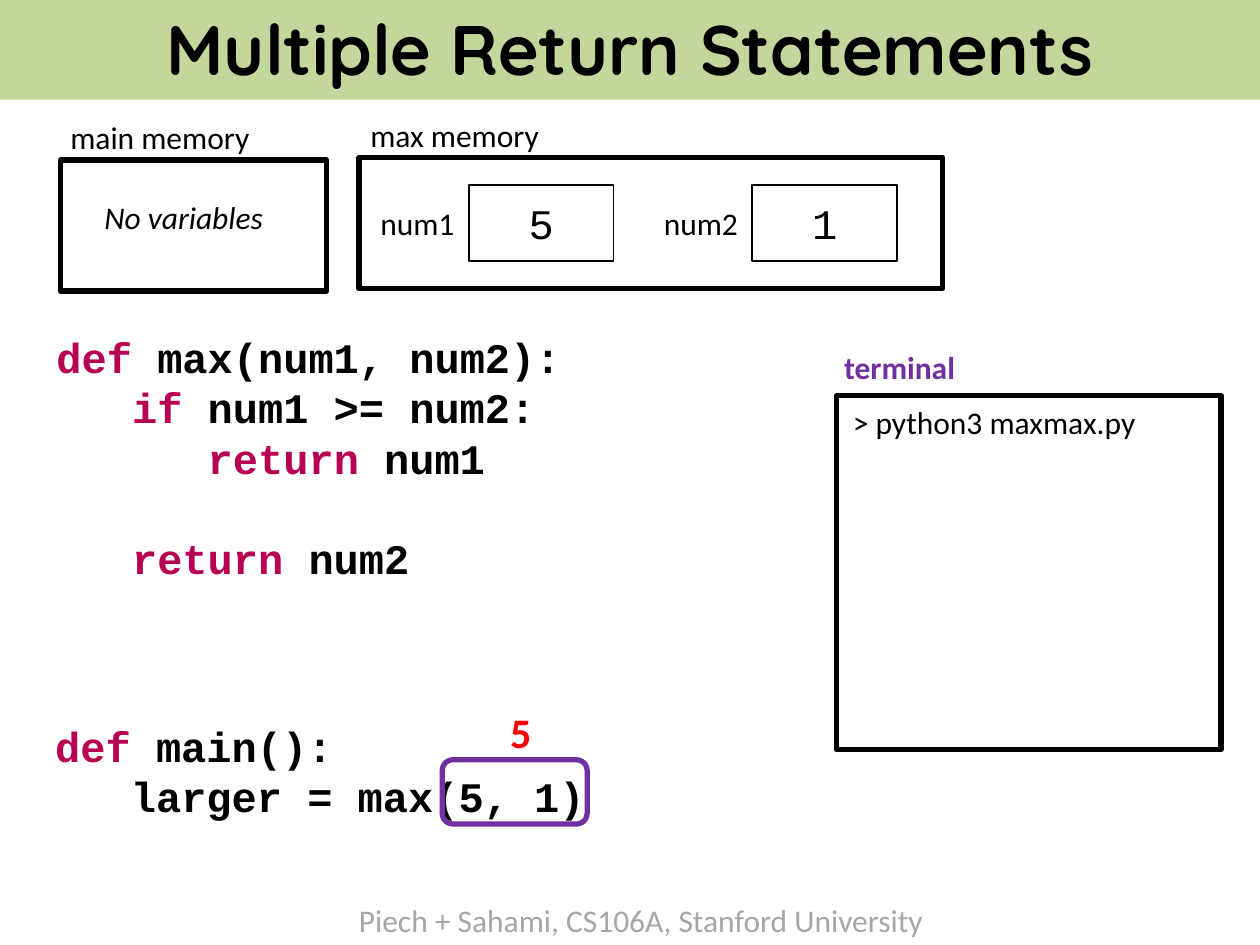
import pptx
import pptx.dml.color
import pptx.enum.shapes
import pptx.enum.text
import pptx.util

COLORS = {
    "ink": "000000", "banner": "C3D69B", "keyword": "B70051",
    "call": "7030A0", "result": "FF0000", "footer": "A6A6A6",
}
COLUMNS, ROWS = 100, 75
WIDTH, HEIGHT = pptx.util.Inches(10), pptx.util.Inches(7.5)
KEYWORDS = ("def", "if", "return")
CODE_LINE = 28.8
SHAPES = pptx.enum.shapes.MSO_SHAPE
ALIGN = pptx.enum.text.PP_ALIGN


def rgb(name):
    """Look up a named colour."""
    return pptx.dml.color.RGBColor.from_string(COLORS[name])


def place(column, row, columns, rows):
    """Turn grid columns and rows into left, top, width and height."""
    return (round(WIDTH * column / COLUMNS), round(HEIGHT * row / ROWS),
            round(WIDTH * columns / COLUMNS), round(HEIGHT * rows / ROWS))


def write(paragraph, text, size=18, font="Calibri", color="ink",
          bold=False, italic=False, align=ALIGN.LEFT):
    """Add a formatted run to a paragraph."""
    paragraph.alignment = align
    run = paragraph.add_run()
    run.text = text
    run.font.size = pptx.util.Pt(size)
    run.font.name = font
    run.font.bold = bold
    run.font.italic = italic
    run.font.color.rgb = rgb(color)


def add_title(slide, text):
    """Fill the title placeholder as a banner across the top."""
    title = slide.shapes.title
    title.left, title.top, title.width, title.height = place(0, -0.3, COLUMNS, 8.2)
    title.fill.solid()
    title.fill.fore_color.rgb = rgb("banner")
    title.text_frame.auto_size = pptx.enum.text.MSO_AUTO_SIZE.NONE
    title.text_frame.vertical_anchor = pptx.enum.text.MSO_ANCHOR.MIDDLE
    write(title.text_frame.paragraphs[0], text, size=40, font="Quicksand",
          bold=True, align=ALIGN.CENTER)


def add_label(slide, text, area, **text_format):
    """Add a one-line label."""
    label = slide.shapes.add_textbox(*place(*area))
    label.text_frame.word_wrap = False
    write(label.text_frame.paragraphs[0], text, **text_format)


def add_frame(slide, area, kind=SHAPES.RECTANGLE, color="ink", weight=3):
    """Add an unfilled outline."""
    frame = slide.shapes.add_shape(kind, *place(*area))
    frame.shadow.inherit = False
    frame.fill.background()
    frame.line.color.rgb = rgb(color)
    frame.line.width = pptx.util.Pt(weight)
    return frame


def add_variable(slide, name, value, column):
    """Add a variable name beside the box that holds its value."""
    add_label(slide, name, (column, 15.7, 8, 4))
    cell = add_frame(slide, (column + 8, 14.7, 11.5, 6), weight=1)
    cell.text_frame.vertical_anchor = pptx.enum.text.MSO_ANCHOR.MIDDLE
    write(cell.text_frame.paragraphs[0], value, size=24, font="Courier New",
          align=ALIGN.CENTER)


def add_code(slide, source, area):
    """Add code with coloured keywords, blank lines becoming spacing."""
    code = slide.shapes.add_textbox(*place(*area)).text_frame
    code.word_wrap = True
    blank_lines = 0
    for number, line in enumerate(source):
        if not line:
            blank_lines += 1
            continue
        paragraph = code.add_paragraph() if number else code.paragraphs[0]
        paragraph.line_spacing = pptx.util.Pt(CODE_LINE)
        if blank_lines:
            paragraph.space_before = pptx.util.Pt(CODE_LINE * blank_lines)
        blank_lines = 0
        body = line.lstrip()
        indent = line[:len(line) - len(body)]
        first, gap, rest = body.partition(" ")
        parts = ([(indent + first + gap, "keyword"), (rest, "ink")]
                 if first in KEYWORDS else [(line, "ink")])
        for text, color in parts:
            write(paragraph, text, size=24, font="Courier New",
                  color=color, bold=True)


def main():
    """Build the slide and save it."""
    deck = pptx.Presentation()
    deck.slide_width, deck.slide_height = WIDTH, HEIGHT
    slide = deck.slides.add_slide(deck.slide_layouts[5])

    add_title(slide, "Multiple Return Statements")
    add_label(slide, "Piech + Sahami, CS106A, Stanford University",
              (27.5, 71, 47.3, 4), color="footer")

    add_code(slide, ["def max(num1, num2):",
                     "   if num1 >= num2:",
                     "      return num1",
                     "",
                     "   return num2"], (3.5, 25.8, 60, 21))
    add_code(slide, ["def main():",
                     "   larger = max(5, 1)"], (3.4, 56.7, 60, 9))

    add_frame(slide, (4.8, 12.7, 21.1, 10.4))
    add_label(slide, "main memory", (4.6, 8.9, 16.4, 4))
    add_label(slide, "No variables", (7.3, 15.2, 15.3, 4), italic=True)

    add_frame(slide, (28.5, 12.5, 46.3, 10.4))
    add_label(slide, "max memory", (28.4, 8.7, 15.5, 4))
    for index, (name, value) in enumerate([("num1", "5"), ("num2", "1")]):
        add_variable(slide, name, value, 29.2 + 22.5 * index)

    add_frame(slide, (35.1, 60.3, 11.5, 5.1),
              kind=SHAPES.ROUNDED_RECTANGLE, color="call")
    add_label(slide, "5", (39.5, 55.6, 3.7, 5), size=24, color="result", bold=True)

    add_frame(slide, (66.4, 31.4, 30.5, 28.1))
    add_label(slide, "terminal", (66, 27.1, 10.9, 4), color="call", bold=True)
    add_label(slide, "> python3 maxmax.py", (66.7, 31.5, 24.7, 4))

    deck.save("out.pptx")


if __name__ == "__main__":
    main()
